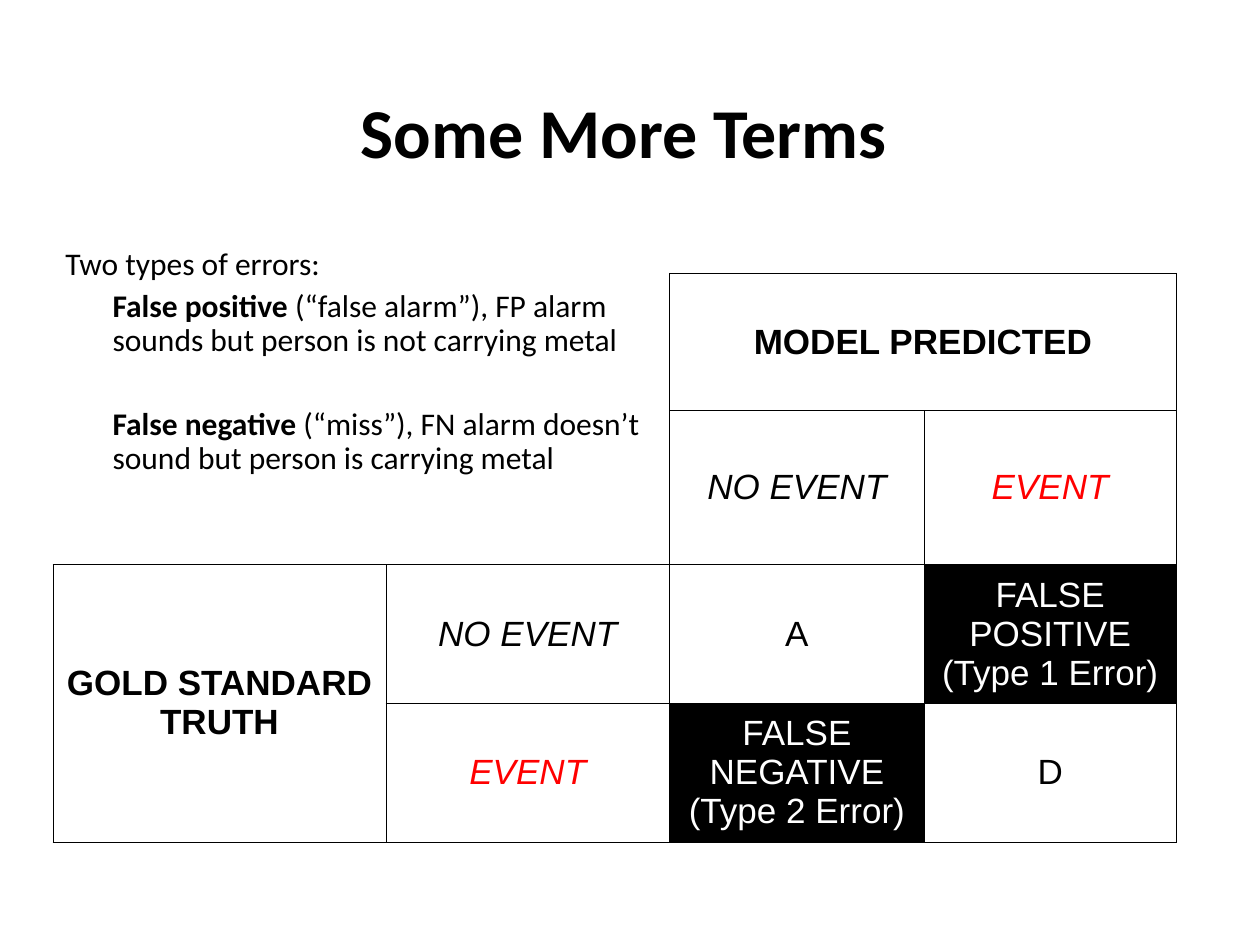
from lxml.etree import SubElement
from pptx import Presentation
from pptx.dml.color import RGBColor
from pptx.enum.text import MSO_ANCHOR, PP_ALIGN
from pptx.oxml.ns import qn
from pptx.util import Cm, Pt

COLORS = {"ink": "000000", "paper": "FFFFFF", "event": "FF0000"}
COLUMN_WIDTHS = (6.71, 5.72, 5.13, 5.08)
ROW_HEIGHTS = (2.77, 3.1, 2.79, 2.79)
LEFT = Cm(1.07)
MERGES = ((0, 0, 1, 1), (0, 2, 0, 3), (2, 0, 3, 0))
HEADING = {"bold": True}
NO_EVENT = {"italic": True}
EVENT = {"italic": True, "color": "event"}
ERROR = {"color": "paper", "fill": "ink"}
MATRIX = {
    (0, 2): ("MODEL PREDICTED", HEADING),
    (1, 2): ("NO EVENT", NO_EVENT),
    (1, 3): ("EVENT", EVENT),
    (2, 0): ("GOLD STANDARD\nTRUTH", HEADING),
    (2, 1): ("NO EVENT", NO_EVENT),
    (2, 2): ("A", {}),
    (2, 3): ("FALSE POSITIVE\n(Type 1 Error)", ERROR),
    (3, 1): ("EVENT", EVENT),
    (3, 2): ("FALSE NEGATIVE\n(Type 2 Error)", ERROR),
    (3, 3): ("D", {}),
}
ERROR_TYPES = (
    ("False positive", " (“false alarm”), FP alarm sounds but person is not carrying metal", 4.5),
    ("False negative", " (“miss”), FN alarm doesn’t sound but person is carrying metal", 28.5),
)


def write(paragraph, text, size=20, font="Arial", color="ink", bold=False, italic=False):
    """Add a formatted run to a paragraph."""
    run = paragraph.add_run()
    run.text = text
    run.font.size = Pt(size)
    run.font.name = font
    run.font.bold = bold
    run.font.italic = italic
    run.font.color.rgb = RGBColor.from_string(COLORS[color])


def add_frame(slide, top, width, height):
    """Add a wrapping text box at the left margin and return its text frame."""
    frame = slide.shapes.add_textbox(LEFT, top, width, height).text_frame
    frame.word_wrap = True
    return frame


def add_title(slide, text):
    """Add the centred slide title."""
    frame = add_frame(slide, Cm(1.9), Cm(23.01), Cm(1.47))
    frame.vertical_anchor = MSO_ANCHOR.MIDDLE
    frame.paragraphs[0].alignment = PP_ALIGN.CENTER
    write(frame.paragraphs[0], text, size=40, font="Calibri", bold=True)


def set_borders(cell, sides):
    """Draw thin borders on the given sides and none on the others."""
    properties = cell._tc.get_or_add_tcPr()
    for side in "LRTB":
        border = SubElement(properties, qn(f"a:ln{side}"), w=str(Pt(0.45)))
        if side in sides:
            fill = SubElement(border, qn("a:solidFill"))
            SubElement(fill, qn("a:srgbClr"), val=COLORS["ink"])
        else:
            SubElement(border, qn("a:noFill"))


def fill_cell(cell, text, fill=None, **style):
    """Write centred lines into a cell over an optional fill colour."""
    cell.vertical_anchor = MSO_ANCHOR.MIDDLE
    if fill:
        cell.fill.solid()
        cell.fill.fore_color.rgb = RGBColor.from_string(COLORS[fill])
    else:
        cell.fill.background()
    frame = cell.text_frame
    for index, line in enumerate(text.split("\n")):
        paragraph = frame.add_paragraph() if index else frame.paragraphs[0]
        paragraph.alignment = PP_ALIGN.CENTER
        write(paragraph, line, **style)


def add_matrix(slide):
    """Add the confusion matrix with its open top-left corner."""
    matrix = slide.shapes.add_table(
        len(ROW_HEIGHTS), len(COLUMN_WIDTHS), LEFT, Cm(5.51),
        Cm(sum(COLUMN_WIDTHS)), Cm(sum(ROW_HEIGHTS))).table
    matrix.first_row = matrix.horz_banding = False
    for column, width in zip(matrix.columns, COLUMN_WIDTHS):
        column.width = Cm(width)
    for row, height in zip(matrix.rows, ROW_HEIGHTS):
        row.height = Cm(height)
    for top, left, bottom, right in MERGES:
        matrix.cell(top, left).merge(matrix.cell(bottom, right))
    for row in range(len(ROW_HEIGHTS)):
        for column in range(len(COLUMN_WIDTHS)):
            cell = matrix.cell(row, column)
            set_borders(cell, "RB" if row < 2 and column < 2 else "LRTB")
            if (row, column) in MATRIX:
                text, style = MATRIX[row, column]
                fill_cell(cell, text, **style)
            else:
                cell.fill.background()


def add_definitions(slide):
    """Add the two kinds of error with indented definitions."""
    frame = add_frame(slide, Cm(4.88), Cm(12.27), Cm(8.15))
    intro = frame.paragraphs[0]
    intro.line_spacing = 0.9
    write(intro, "Two types of errors:", size=18, font="Calibri")
    for term, meaning, gap in ERROR_TYPES:
        definition = frame.add_paragraph()
        definition.line_spacing = 0.9
        definition.space_before = Pt(gap)
        definition._p.get_or_add_pPr().set("marL", str(Cm(0.95)))
        write(definition, term, size=18, font="Calibri", bold=True)
        write(definition, meaning, size=18, font="Calibri")


def main():
    """Build and save the slide."""
    deck = Presentation()
    deck.slide_width, deck.slide_height = Cm(25.4), Cm(19.05)
    slide = deck.slides.add_slide(deck.slide_layouts[6])
    add_title(slide, "Some More Terms")
    add_matrix(slide)
    add_definitions(slide)
    deck.save("out.pptx")


if __name__ == "__main__":
    main()
